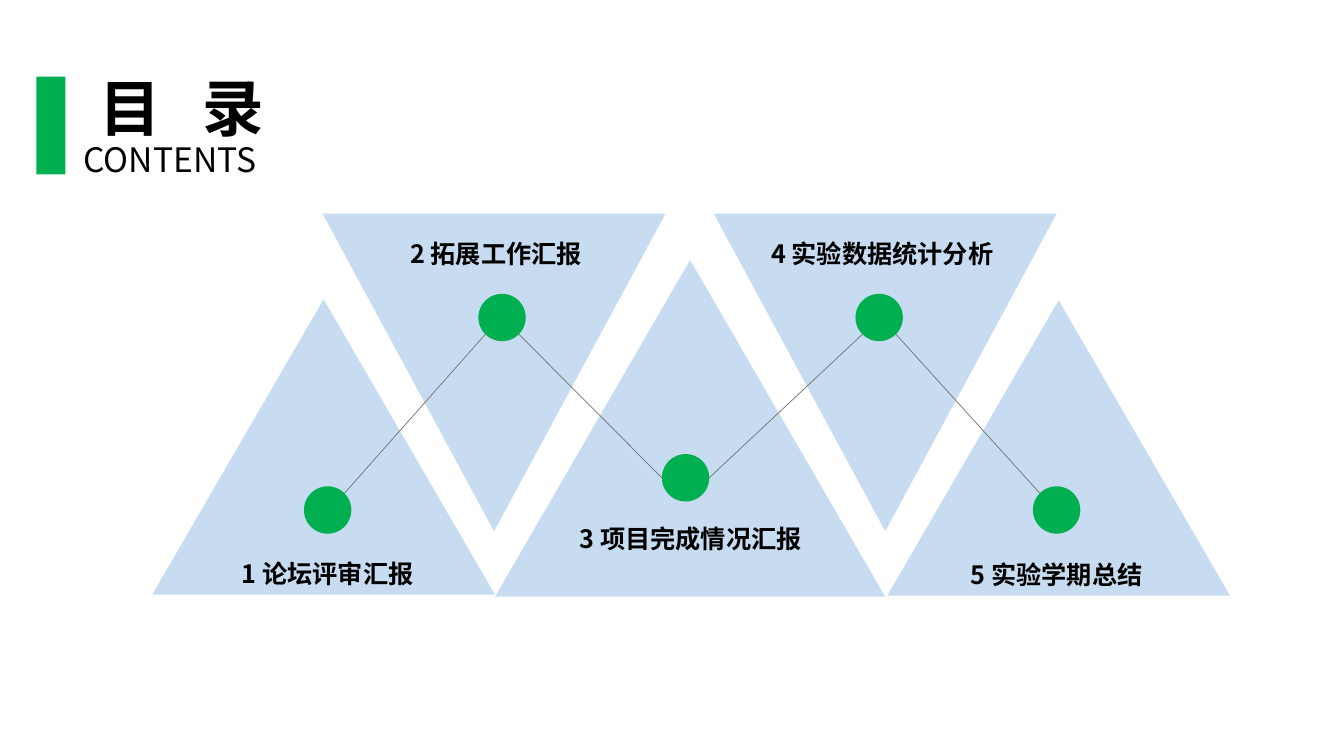
import math
from dataclasses import dataclass
from itertools import pairwise

import pptx
import pptx.dml.color
import pptx.enum.shapes
import pptx.enum.text
import pptx.oxml.ns
import pptx.oxml.xmlchemy
import pptx.util
from lxml import etree
from pptx.util import Inches

FONT = "Noto Sans CJK SC"
GREEN, BLUE, GREY, BLACK = "00B050", "5B9BD5", "767171", "000000"
BLUE_OPACITY = 34
DOT = 0.47
LABEL_WIDTH, LABEL_HEIGHT = 3, 0.4
SHAPE = pptx.enum.shapes.MSO_SHAPE
ALIGN = pptx.enum.text.PP_ALIGN


@dataclass(frozen=True)
class Box:
    left: float
    top: float
    width: float
    height: float

    def emu(self) -> tuple:
        return tuple(Inches(v) for v in (self.left, self.top, self.width, self.height))


@dataclass(frozen=True)
class Chapter:
    label: str
    triangle: Box
    points_down: bool
    dot_center: tuple[float, float]
    label_at: tuple[float, float]
    side_joints: bool = False


CHAPTERS = [
    Chapter("1 论坛评审汇报", Box(1.51, 2.97, 3.4, 2.93), False, (3.25, 5.06), (1.75, 5.49)),
    Chapter("2 拓展工作汇报", Box(3.2, 2.12, 3.4, 3.15), True, (4.98, 3.15), (3.42, 2.32)),
    Chapter("3 项目完成情况汇报", Box(4.91, 2.58, 3.87, 3.34), False, (6.8, 4.74), (5.35, 5.14),
            side_joints=True),
    Chapter("4 实验数据统计分析", Box(7.08, 2.12, 3.4, 3.15), True, (8.72, 3.15), (7.25, 2.32)),
    Chapter("5 实验学期总结", Box(8.8, 2.98, 3.4, 2.93), False, (10.48, 5.06), (8.98, 5.5)),
]


def rgb(value: str) -> pptx.dml.color.RGBColor:
    return pptx.dml.color.RGBColor.from_string(value)


def add_filled(slide, kind, box: Box, color: str, opacity: int = 100):
    shape = slide.shapes.add_shape(kind, *box.emu())
    shape.shadow.inherit = False
    shape.fill.solid()
    shape.fill.fore_color.rgb = rgb(color)
    shape.line.fill.background()
    if opacity < 100:
        color_xml = shape.fill._xPr.find(".//" + pptx.oxml.ns.qn("a:srgbClr"))
        etree.SubElement(color_xml, pptx.oxml.ns.qn("a:alpha"), val=str(opacity * 1000))
    return shape


def write_text(holder, text: str, size: int, bold: bool, align, spacing: int = 0) -> None:
    """Write one line; spacing is the extra letter gap in points."""
    frame = holder.text_frame
    frame_format = {
        "word_wrap": True,
        "auto_size": pptx.enum.text.MSO_AUTO_SIZE.SHAPE_TO_FIT_TEXT,
        "vertical_anchor": pptx.enum.text.MSO_ANCHOR.TOP,
    }
    for name, value in frame_format.items():
        setattr(frame, name, value)
    paragraph = frame.paragraphs[0]
    for name, value in {"alignment": align, "line_spacing": 1.0}.items():
        setattr(paragraph, name, value)
    run = paragraph.add_run()
    run.text = text
    font_format = {"name": FONT, "size": pptx.util.Pt(size), "bold": bold}
    for name, value in font_format.items():
        setattr(run.font, name, value)
    run.font.color.rgb = rgb(BLACK)
    properties = run._r.get_or_add_rPr()
    etree.SubElement(properties, pptx.oxml.ns.qn("a:ea"), typeface=FONT)
    if spacing:
        properties.set("spc", str(spacing * 100))


def joint(chapter: Chapter, direction: int, rising: bool) -> tuple:
    """Find the point on a dot's rim where a line leaves it (direction 1 is right)."""
    radius = DOT / 2
    angle = 0 if chapter.side_joints else math.radians(45)
    x, y = chapter.dot_center
    vertical = -1 if rising else 1
    return (Inches(x + direction * radius * math.cos(angle)),
            Inches(y + vertical * radius * math.sin(angle)))


def add_link(slide, start: Chapter, end: Chapter) -> None:
    rising = end.points_down
    link = slide.shapes.add_connector(
        pptx.enum.shapes.MSO_CONNECTOR.STRAIGHT,
        *joint(start, 1, rising), *joint(end, -1, not rising))
    link.line.color.rgb = rgb(GREY)
    link.line.width = pptx.util.Pt(0.5)
    etree.SubElement(link._element.spPr, pptx.oxml.ns.qn("a:effectLst"))


def add_heading(slide) -> None:
    add_filled(slide, SHAPE.RECTANGLE, Box(0.36, 0.76, 0.29, 0.97), GREEN)
    title = slide.shapes.title
    title_box = Box(0.72, 0.64, 2.17, 0.84)
    for name, value in zip(("left", "top", "width", "height"), title_box.emu()):
        setattr(title, name, value)
    write_text(title, "目 录", 44, True, ALIGN.CENTER, spacing=10)
    subtitle = slide.shapes.add_textbox(*Box(0.73, 1.33, 1.98, 0.5).emu())
    write_text(subtitle, "CONTENTS", 24, False, ALIGN.LEFT)


def main() -> None:
    deck = pptx.Presentation()
    deck.slide_width, deck.slide_height = Inches(13.33), Inches(7.5)
    slide = deck.slides.add_slide(deck.slide_layouts[5])

    for chapter in CHAPTERS:
        triangle = add_filled(slide, SHAPE.ISOSCELES_TRIANGLE, chapter.triangle, BLUE, BLUE_OPACITY)
        triangle.rotation = 180 if chapter.points_down else 0
    add_heading(slide)
    for start, end in pairwise(CHAPTERS):
        add_link(slide, start, end)
    for chapter in CHAPTERS:
        x, y = chapter.dot_center
        add_filled(slide, SHAPE.OVAL, Box(x - DOT / 2, y - DOT / 2, DOT, DOT), GREEN)
        label = slide.shapes.add_textbox(*Box(*chapter.label_at, LABEL_WIDTH, LABEL_HEIGHT).emu())
        write_text(label, chapter.label, 18, True, ALIGN.CENTER)

    deck.save("out.pptx")


if __name__ == "__main__":
    main()
